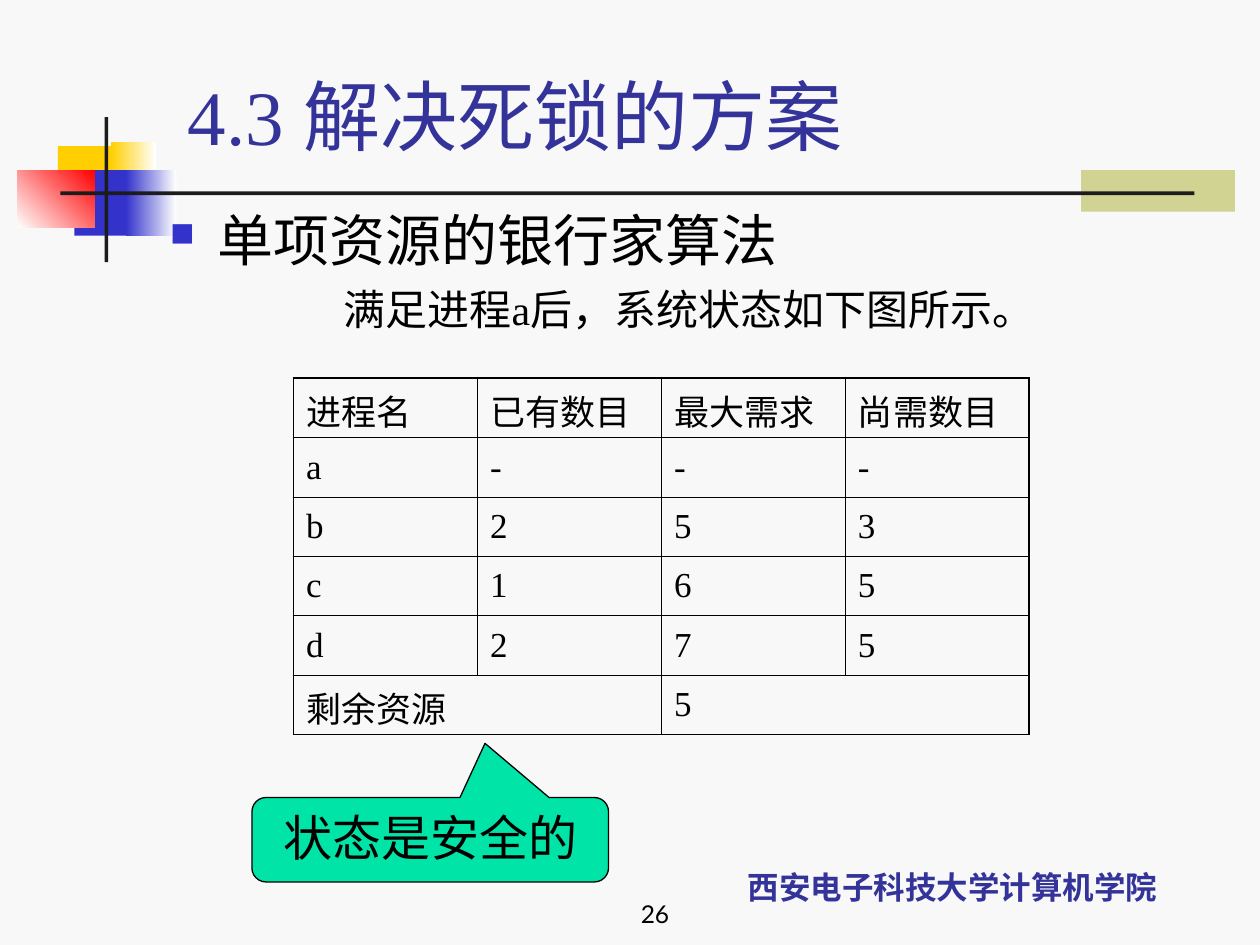
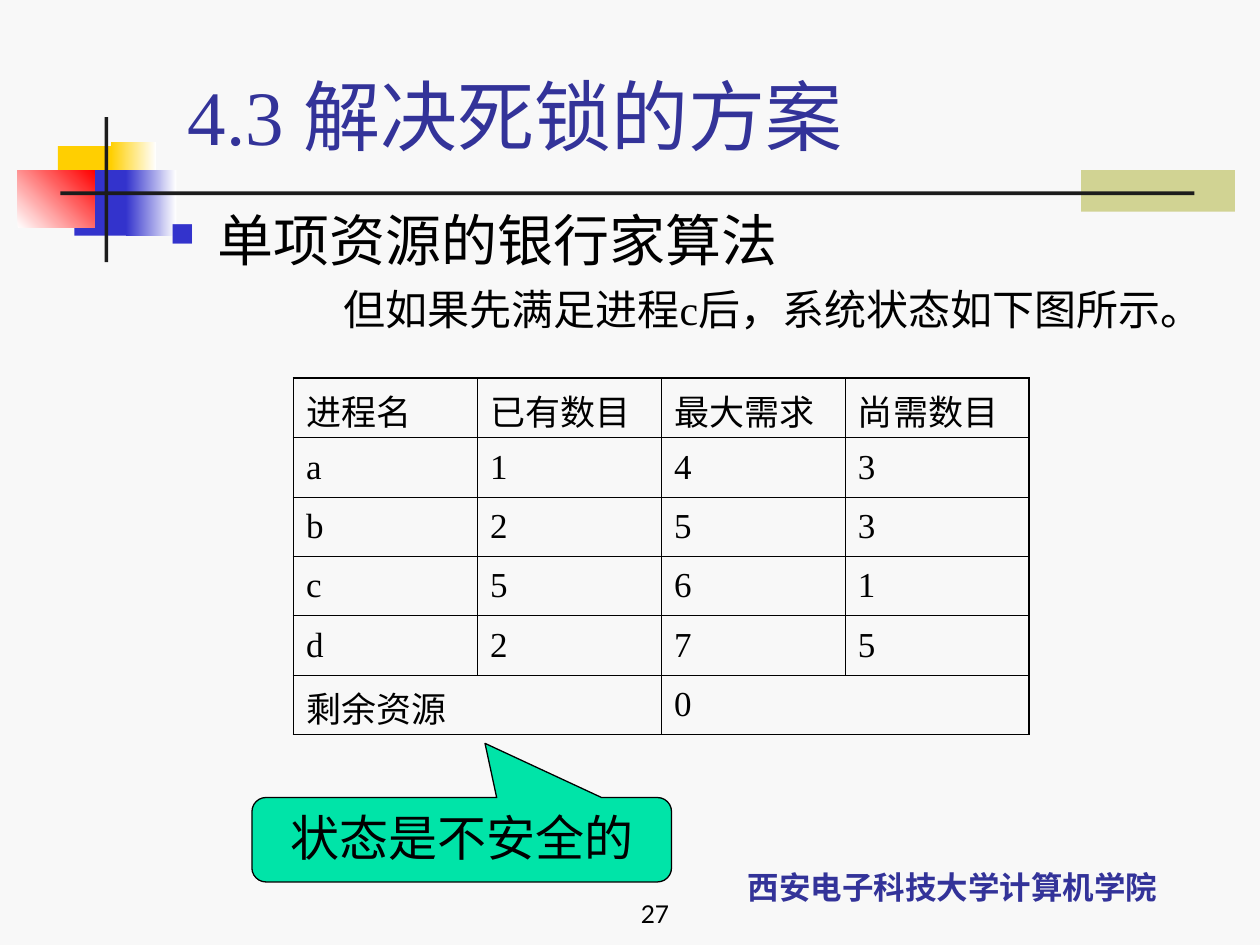
from dataclasses import dataclass
from lxml.etree import SubElement
from pptx import Presentation
from pptx.dml.color import RGBColor
from pptx.enum.shapes import MSO_SHAPE
from pptx.enum.text import MSO_ANCHOR, MSO_AUTO_SIZE, PP_ALIGN
from pptx.oxml.ns import qn
from pptx.util import Inches, Pt


@dataclass(frozen=True)
class Theme:
    """Colours, fonts and type sizes shared by the slides."""
    back: str = "F8F8F8"
    ink: str = "000000"
    bar: str = "1C1C1C"
    navy: str = "333399"
    blue: str = "3333CC"
    gold: str = "FFCF01"
    red: str = "FF0000"
    white: str = "FFFFFF"
    olive: str = "D1D393"
    mint: str = "00E4A8"
    serif: str = "Times New Roman"
    sans: str = "Noto Sans CJK SC"
    digit: str = "Lato"
    title: int = 44
    head: int = 32
    note: int = 28
    body: int = 24
    cell: int = 20
    foot: int = 18
    page: int = 14
    thick: float = 1.08
    thin: float = 0.45


T = Theme()
TITLE = "4.3 解决死锁的方案"
TOPIC = "单项资源的银行家算法"
SCHOOL = "西安电子科技大学计算机学院"
HEADS = ("进程名", "已有数目", "最大需求", "尚需数目")
LEFT = "剩余资源"
DECOR = (
    ((8.58, 1.35, 1.22, 0.33), (T.olive,), 0),
    ((0.46, 1.16, 0.48, 0.52), (T.gold,), 0),
    ((0.88, 1.13, 0.36, 0.52), (T.gold, T.white), 0),
    ((0.59, 1.35, 0.46, 0.52), (T.blue,), 0),
    ((1, 1.35, 0.4, 0.52), (T.blue, T.white), 0),
    ((0.14, 1.35, 0.61, 0.46), (T.white, T.red), 45),
    ((0.83, 0.93, 0.03, 1.15), (T.bar,), 0),
    ((0.48, 1.52, 9, 0.03), (T.bar,), 0),
)
STATES = (
    (26, "满足进程a后，系统状态如下图所示。",
     ("a - - -", "b 2 5 3", "c 1 6 5", "d 2 7 5"), "5", "状态是安全的", 2.83),
    (27, "但如果先满足进程c后，系统状态如下图所示。",
     ("a 1 4 3", "b 2 5 3", "c 5 6 1", "d 2 7 5"), "0", "状态是不安全的", 3.33),
)


def rgb(code):
    """Turn a hex code into a colour."""
    return RGBColor.from_string(code)


def place(box):
    """Turn a box in inches into lengths."""
    return [Inches(side) for side in box]


def style(para, size, face=T.serif, tint=T.ink, bold=False, align=PP_ALIGN.LEFT):
    """Set the alignment and font of a paragraph."""
    para.alignment = align
    font = para.font
    font.size, font.name, font.bold = Pt(size), face, bold
    font.color.rgb = rgb(tint)


def add_label(slide, box, text, size, face, **look):
    """Add a one-line text box that sits on its bottom edge."""
    frame = slide.shapes.add_textbox(*place(box)).text_frame
    frame.word_wrap = True
    frame.vertical_anchor = MSO_ANCHOR.BOTTOM
    frame.text = text
    style(frame.paragraphs[0], size, face, **look)


def add_decor(slide):
    """Draw the coloured blocks and the crossed bars."""
    for box, tints, angle in DECOR:
        block = slide.shapes.add_shape(MSO_SHAPE.RECTANGLE, *place(box))
        block.shadow.inherit = False
        block.line.fill.background()
        if len(tints) == 1:
            block.fill.solid()
            block.fill.fore_color.rgb = rgb(tints[0])
        else:
            block.fill.gradient()
            block.fill.gradient_angle = angle
            for stop, tint in zip(block.fill.gradient_stops, tints):
                stop.color.rgb = rgb(tint)


def add_title(slide, box):
    """Place and format the title."""
    title = slide.shapes.title
    title.left, title.top, title.width, title.height = place(box)
    frame = title.text_frame
    frame.auto_size = MSO_AUTO_SIZE.NONE
    frame.vertical_anchor = MSO_ANCHOR.BOTTOM
    frame.text = TITLE
    style(frame.paragraphs[0], T.title, tint=T.navy)


def indent(para, margin, first):
    """Set the left margin and first-line indent of a paragraph."""
    props = para._p.get_or_add_pPr()
    props.set("marL", str(Inches(margin)))
    props.set("indent", str(Inches(first)))
    return props


def add_body(slide, box, text):
    """Add the bulleted topic and the indented sentence below it."""
    frame = slide.shapes.add_textbox(*place(box)).text_frame
    frame.word_wrap = True
    frame.text = TOPIC
    topic, line = frame.paragraphs[0], frame.add_paragraph()
    props = indent(topic, 0.38, -0.38)
    tint = SubElement(props, qn("a:buClr"))
    SubElement(tint, qn("a:srgbClr"), val=T.blue)
    SubElement(props, qn("a:buSzPct"), val="60000")
    SubElement(props, qn("a:buChar"), char="■")
    style(topic, T.head)
    line.text = text
    indent(line, 0.38, 1)
    line.space_before = Pt(6)
    style(line, T.body)


def add_edges(cell, outer):
    """Draw cell borders, thick on the sides named in outer."""
    props = cell._tc.get_or_add_tcPr()
    for side in "LRTB":
        width = Pt(T.thick if side in outer else T.thin)
        edge = SubElement(props, qn(f"a:ln{side}"), w=str(width))
        fill = SubElement(edge, qn("a:solidFill"))
        SubElement(fill, qn("a:srgbClr"), val=T.ink)


def add_grid(slide, box, rows, rest):
    """Add the table of processes with the remaining resources below."""
    data = [HEADS, *(row.split() for row in rows), (LEFT, "", rest, "")]
    last, end = len(data) - 1, len(HEADS) - 1
    table = slide.shapes.add_table(last + 1, end + 1, *place(box)).table
    table.first_row = table.horz_banding = False
    for col in (0, 2):
        table.cell(last, col).merge(table.cell(last, col + 1))
    for r, row in enumerate(data):
        for c, text in enumerate(row):
            cell = table.cell(r, c)
            if cell.is_spanned:
                continue
            right = c + cell.span_width - 1
            sides = {"L": c == 0, "R": right == end, "T": r == 0, "B": r == last}
            add_edges(cell, [side for side, on in sides.items() if on])
            cell.fill.background()
            cell.vertical_anchor = MSO_ANCHOR.MIDDLE
            cell.text = text
            style(cell.text_frame.paragraphs[0], T.cell)


def add_note(slide, box, tip, text):
    """Add a callout whose pointer ends at tip."""
    left, top, width, height = box
    note = slide.shapes.add_shape(MSO_SHAPE.ROUNDED_RECTANGULAR_CALLOUT, *place(box))
    note.adjustments[0] = (tip[0] - left) / width - 0.5
    note.adjustments[1] = (tip[1] - top) / height - 0.5
    note.shadow.inherit = False
    note.fill.solid()
    note.fill.fore_color.rgb = rgb(T.mint)
    note.line.color.rgb = rgb(T.ink)
    note.line.width = Pt(0.75)
    frame = note.text_frame
    frame.vertical_anchor = MSO_ANCHOR.TOP
    frame.text = text
    style(frame.paragraphs[0], T.note, align=PP_ALIGN.CENTER)


def add_state(deck, page, text, rows, rest, verdict, width):
    """Add a slide that shows one state of the system."""
    slide = deck.slides.add_slide(deck.slide_layouts[5])
    add_decor(slide)
    add_label(slide, (5.31, 6.66, 4.5, 0.58), SCHOOL, T.foot, T.sans,
              tint=T.navy, bold=True, align=PP_ALIGN.CENTER)
    add_title(slide, (1.39, 0.5, 8.52, 0.83))
    add_body(slide, (1.25, 1.58, 8.5, 1.42), text)
    add_grid(slide, (2.33, 3, 5.84, 2.83), rows, rest)
    add_note(slide, (2, 6.33, width, 0.67), (3.85, 5.9), verdict)
    add_label(slide, (3.33, 6.92, 2.08, 0.5), str(page), T.page, T.digit,
              align=PP_ALIGN.RIGHT)


def main():
    """Build and save the deck."""
    deck = Presentation()
    deck.slide_width, deck.slide_height = Inches(10), Inches(7.5)
    fill = deck.slide_master.background.fill
    fill.solid()
    fill.fore_color.rgb = rgb(T.back)
    for state in STATES:
        add_state(deck, *state)
    deck.save("out.pptx")


if __name__ == "__main__":
    main()
